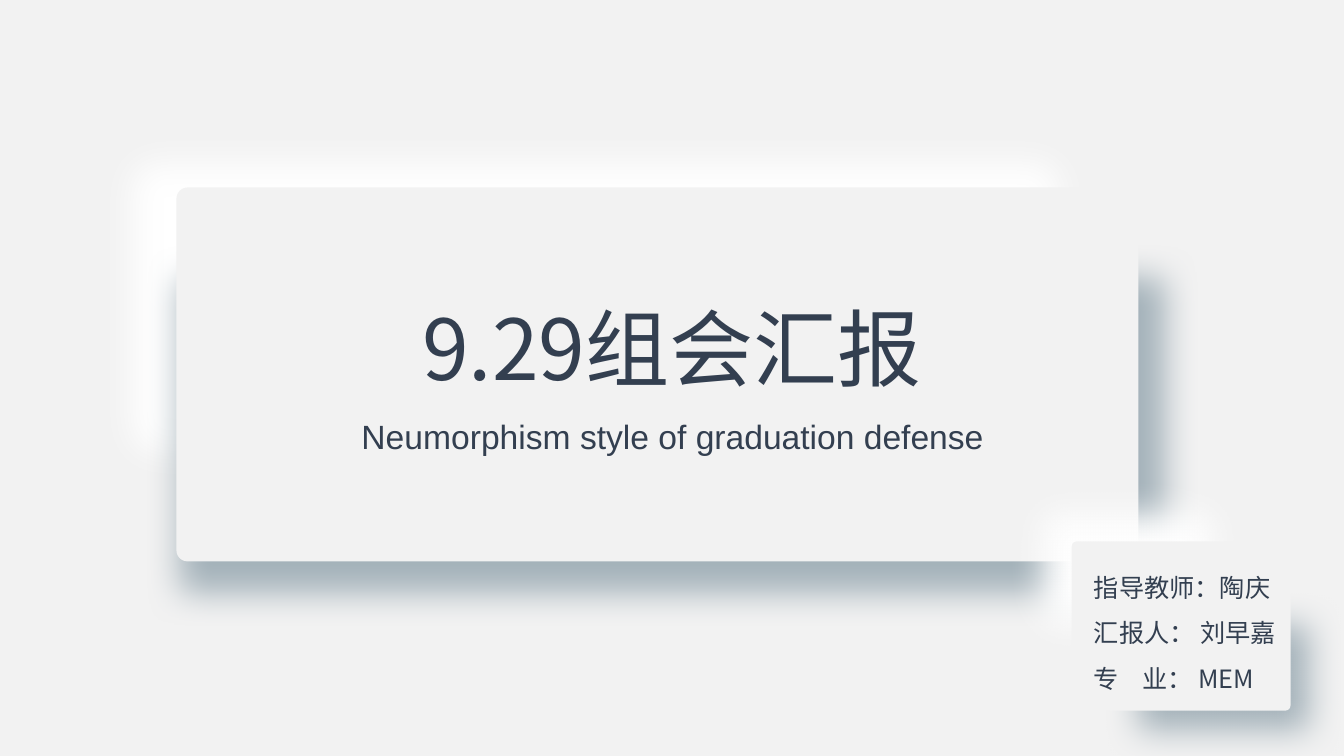
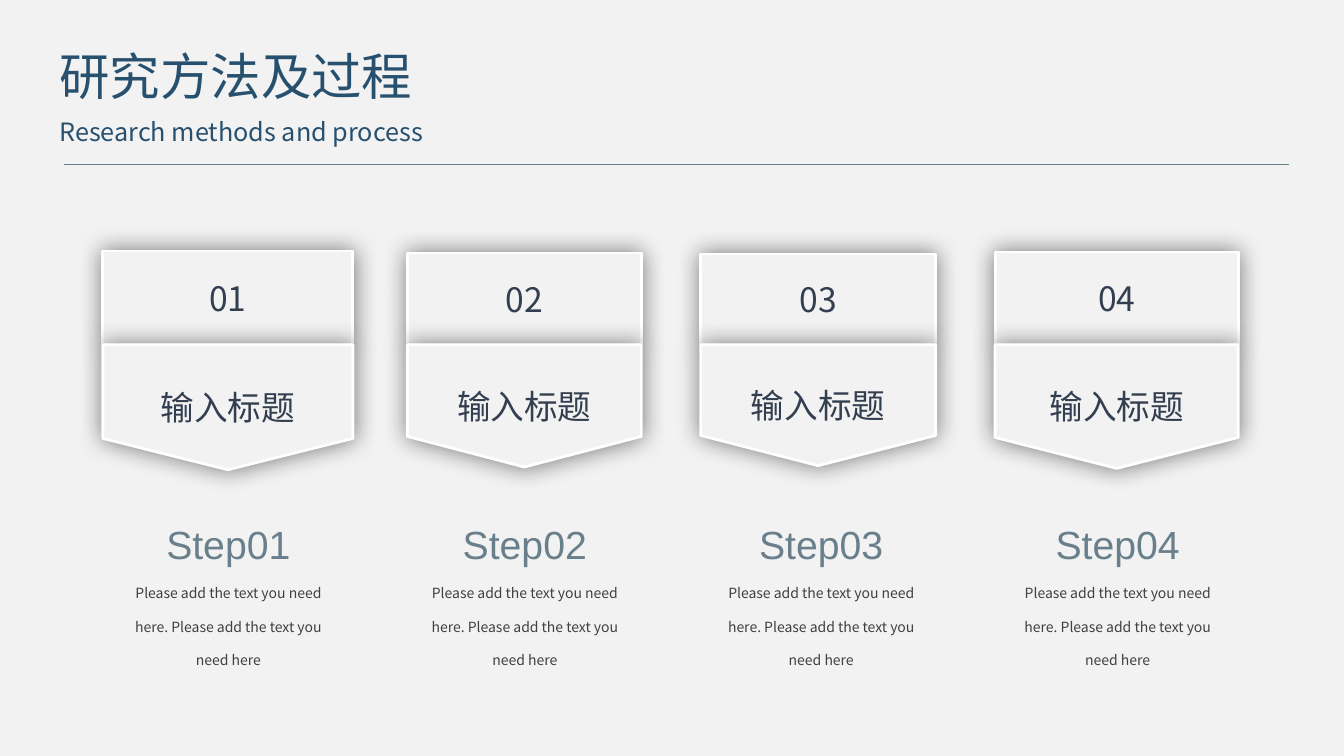
from lxml import etree
from pptx import Presentation
from pptx.dml.color import RGBColor
from pptx.enum import shapes, text
from pptx.oxml import ns
from pptx.util import Inches, Pt

PAPER = RGBColor(0xF2, 0xF2, 0xF2)
WHITE = RGBColor(0xFF, 0xFF, 0xFF)
SHADE = RGBColor(0xA4, 0xB2, 0xBA)
INK = RGBColor(0x33, 0x3F, 0x50)
NAVY = RGBColor(0x27, 0x50, 0x6E)
STEEL = RGBColor(0x69, 0x7F, 0x8B)
GREY = RGBColor(0x40, 0x40, 0x40)
CJK, LATIN = "Noto Sans CJK SC", "Arial"
CENTER, LEFT = text.PP_ALIGN.CENTER, text.PP_ALIGN.LEFT
TOP, MIDDLE = text.MSO_ANCHOR.TOP, text.MSO_ANCHOR.MIDDLE

REPORT_TITLE = "9.29组会汇报"
REPORT_SUBTITLE = "Neumorphism style of graduation defense"
PRESENTER = ["指导教师：陶庆", "汇报人： 刘早嘉", "专\t业： MEM"]
# Each raised panel: (left, top, width, height), corner, colour, is soft
TITLE_PANEL = [
    ((0.97, 1.28, 9.88, 3.55), 0.07, WHITE, True),
    ((1.44, 2.42, 10.46, 3.81), 0.03, SHADE, True),
    ((1.75, 1.86, 9.54, 3.71), 0.03, PAPER, False),
]
PRESENTER_PANEL = [
    ((9.99, 4.75, 2.38, 1.79), 0.07, WHITE, True),
    ((10.94, 5.86, 2.38, 1.73), 0.03, SHADE, True),
    ((10.63, 5.37, 2.17, 1.68), 0.03, PAPER, False),
]

METHOD_TITLE = "研究方法及过程"
METHOD_SUBTITLE = "Research methods and process"
BADGE_TITLE = "输入标题"
STEP_NOTE = "Please add the text you need here. Please add the text you need here"
BADGES = [(1.02, 2.48, 0.93), (4.04, 2.32, 0.91),
          (6.95, 2.33, 0.90), (9.87, 2.41, 0.92)]  # left, width, tab height
BADGE_FOLD = 3.42
STEP_LEFT, STEP_PITCH = 1.15, 2.94


def place(shape, box):
    shape.left, shape.top, shape.width, shape.height = map(Inches, box)


def write(shape, lines, size=18, font=CJK, color=INK, align=LEFT,
          anchor=TOP, spacing=1.0):
    """Put lines in a shape; a line is text or (text, its own format)."""
    frame = shape.text_frame
    frame.word_wrap = True
    frame.auto_size = text.MSO_AUTO_SIZE.NONE
    frame.vertical_anchor = anchor
    for i, line in enumerate(lines):
        words, own = (line, {}) if isinstance(line, str) else line
        paragraph = frame.add_paragraph() if i else frame.paragraphs[0]
        paragraph.alignment = align
        paragraph.line_spacing = spacing
        paragraph.space_before = Pt(0)
        run = paragraph.add_run()
        run.text = words
        run.font.size = Pt(own.get("size", size))
        run.font.color.rgb = own.get("color", color)
        name = own.get("font", font)
        run.font.name = name
        etree.SubElement(run.font._element, ns.qn("a:ea"), typeface=name)


def write_box(slide, box, lines, **style):
    area = slide.shapes.add_textbox(*map(Inches, box))
    write(area, lines, **style)
    return area


def write_placeholder(slide, index, box, line, **style):
    holder = slide.placeholders[index]
    place(holder, box)
    write(holder, [line], **style)
    slide.shapes._spTree.append(holder._element)  # bring to front


def add_effect(shape, tag, **attributes):
    shape.shadow.inherit = False
    effects = shape._element.spPr.find(ns.qn("a:effectLst"))
    return etree.SubElement(effects, ns.qn(tag), **attributes)


def add_panel(slide, layers):
    for box, corner, color, soft in layers:
        layer = slide.shapes.add_shape(
            shapes.MSO_SHAPE.ROUNDED_RECTANGLE, *map(Inches, box))
        layer.adjustments[0] = corner
        layer.fill.solid()
        layer.fill.fore_color.rgb = color
        layer.line.fill.background()
        layer.shadow.inherit = False
        if soft:
            add_effect(layer, "a:softEdge", rad=str(Pt(25)))


def add_badge_part(slide, points, label):
    corners = [(Inches(x), Inches(y)) for x, y in points]
    builder = slide.shapes.build_freeform(*corners[0], scale=1.0)
    builder.add_line_segments(corners[1:], close=True)
    part = builder.convert_to_shape()
    part.fill.solid()
    part.fill.fore_color.rgb = PAPER
    part.line.color.rgb = WHITE
    part.line.width = Pt(2)
    shadow = add_effect(part, "a:outerShdw", blurRad=str(Pt(17)), dist="0",
                        dir="0", algn="ctr", rotWithShape="0")
    black = etree.SubElement(shadow, ns.qn("a:srgbClr"), val="000000")
    etree.SubElement(black, ns.qn("a:alpha"), val="49000")
    write(part, [label], size=24, align=CENTER, anchor=MIDDLE)


def build_cover(prs):
    slide = prs.slides.add_slide(prs.slide_layouts[0])
    add_panel(slide, TITLE_PANEL)
    write_placeholder(slide, 0, (2.37, 2.89, 8.59, 1.11), REPORT_TITLE,
                      size=60, align=CENTER)
    write_placeholder(slide, 1, (2.5, 4.08, 8.34, 0.5), REPORT_SUBTITLE,
                      size=24, font=LATIN, align=CENTER)
    add_panel(slide, PRESENTER_PANEL)
    presenter = write_box(slide, (10.75, 5.48, 2.22, 1.46), PRESENTER,
                          spacing=1.5)
    major = presenter.text_frame.paragraphs[-1]._p.get_or_add_pPr()
    stops = etree.SubElement(major, ns.qn("a:tabLst"))
    etree.SubElement(stops, ns.qn("a:tab"), pos=str(Inches(0.48)), algn="l")


def build_method(prs):
    slide = prs.slides.add_slide(prs.slide_layouts[5])
    write_placeholder(slide, 0, (0.49, 0.4, 5.35, 0.71), METHOD_TITLE,
                      size=36, color=NAVY)
    write_box(slide, (0.49, 1.1, 3.95, 0.4), [METHOD_SUBTITLE], color=NAVY)
    rule = slide.shapes.add_connector(
        shapes.MSO_CONNECTOR.STRAIGHT,
        Inches(0.63), Inches(1.63), Inches(12.78), Inches(1.63))
    rule.line.color.rgb = STEEL
    rule.line.width = Pt(0.5)
    etree.SubElement(rule._element.spPr, ns.qn("a:effectLst"))

    for i, (left, width, tab) in enumerate(BADGES):
        number = f"{i + 1:02}"
        right, middle = left + width, left + width / 2
        top, shoulder = BADGE_FOLD - tab, BADGE_FOLD + tab
        tip = BADGE_FOLD + tab * 4 / 3
        add_badge_part(slide, [(left, top), (right, top), (right, BADGE_FOLD),
                               (left, BADGE_FOLD)], number)
        add_badge_part(slide, [(right, BADGE_FOLD), (right, shoulder),
                               (middle, tip), (left, shoulder),
                               (left, BADGE_FOLD)], BADGE_TITLE)
        write_box(slide, (STEP_LEFT + i * STEP_PITCH, 4.65, 2.23, 2.05),
                  [("Step" + number, dict(size=28, font=LATIN, color=STEEL)),
                   STEP_NOTE],
                  size=10, color=GREY, align=CENTER, spacing=2.0)


def main():
    prs = Presentation()
    prs.slide_width, prs.slide_height = Inches(13.33), Inches(7.5)
    backdrop = prs.slide_master.background.fill
    backdrop.solid()
    backdrop.fore_color.rgb = PAPER
    build_cover(prs)
    build_method(prs)
    prs.save("out.pptx")


if __name__ == "__main__":
    main()
